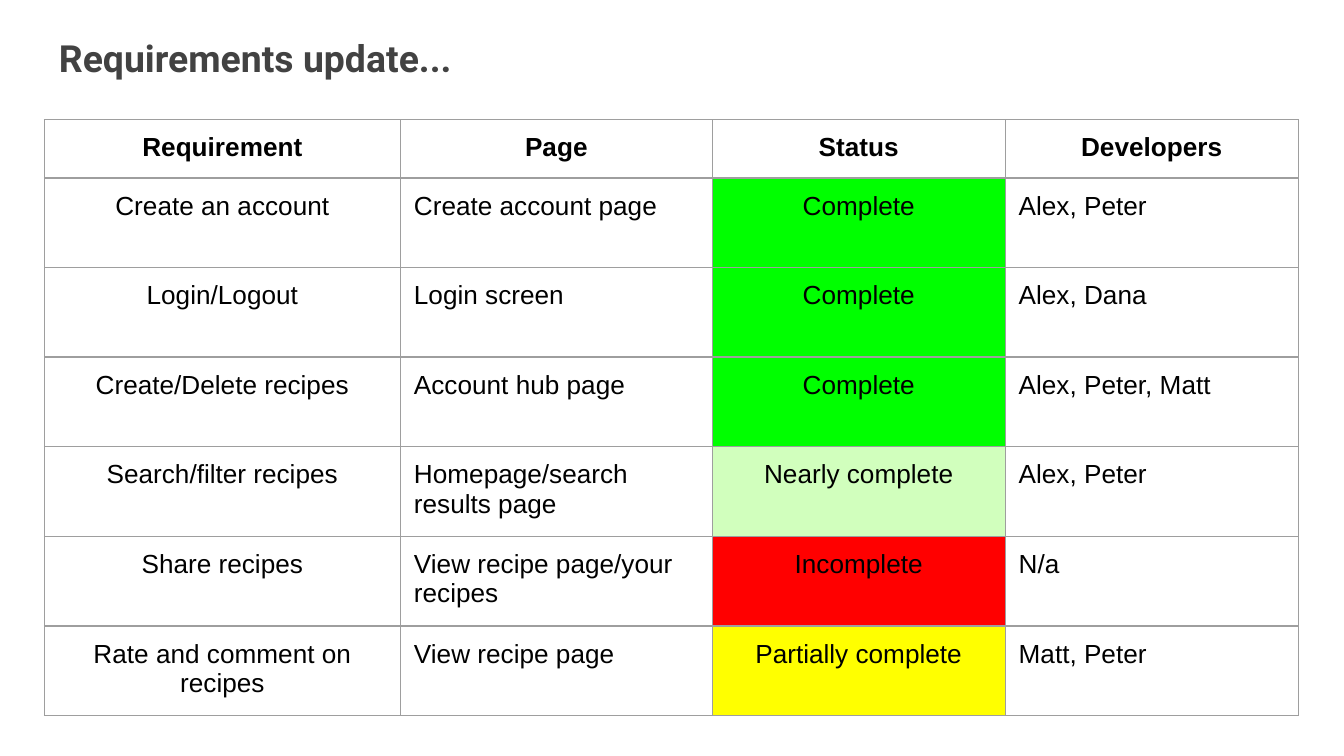
import pptx
import pptx.dml.color
import pptx.enum.text
import pptx.oxml
import pptx.oxml.ns
import pptx.util
from pptx.util import Inches

ALIGN = pptx.enum.text.PP_ALIGN
BORDER_COLOR = "9E9E9E"
STATUS_COLORS = {
    "Complete": "00FF00",
    "Nearly complete": "D1FFBD",
    "Incomplete": "FF0000",
    "Partially complete": "FFFF00",
}
HEADINGS = ("Requirement", "Page", "Status", "Developers")
REQUIREMENTS = (
    ("Create an account", "Create account page", "Complete", "Alex, Peter"),
    ("Login/Logout", "Login screen", "Complete", "Alex, Dana"),
    ("Create/Delete recipes", "Account hub page", "Complete", "Alex, Peter, Matt"),
    ("Search/filter recipes", "Homepage/search results page", "Nearly complete", "Alex, Peter"),
    ("Share recipes", "View recipe page/your recipes", "Incomplete", "N/a"),
    ("Rate and comment on recipes", "View recipe page", "Partially complete", "Matt, Peter"),
)
COLUMN_WIDTHS = (2.65, 2.32, 2.18, 2.18)
HEADER_HEIGHT, ROW_HEIGHT = 0.43, 2 / 3


def rgb(color):
    return pptx.dml.color.RGBColor.from_string(color)


def set_margins(target):
    for side in ("left", "right", "top", "bottom"):
        setattr(target, f"margin_{side}", Inches(0.1))


def write_text(frame, text, color="000000", align=ALIGN.LEFT, **font_format):
    para = frame.paragraphs[0]
    para.alignment = align
    span = para.add_run()
    span.text = text
    for name, value in font_format.items():
        setattr(span.font, name, value)
    span.font.color.rgb = rgb(color)


def add_borders(cell):
    properties = cell._tc.get_or_add_tcPr()
    for index, side in enumerate(("lnL", "lnR", "lnT", "lnB")):
        line = pptx.oxml.parse_xml(
            f'<a:{side} {pptx.oxml.ns.nsdecls("a")} w="{pptx.util.Pt(0.75)}">'
            f'<a:solidFill><a:srgbClr val="{BORDER_COLOR}"/></a:solidFill></a:{side}>'
        )
        properties.insert(index, line)


def add_title(page, left, top, width, height):
    box = page.shapes.add_textbox(Inches(left), Inches(top), Inches(width), Inches(height))
    frame = box.text_frame
    frame.word_wrap = True
    set_margins(frame)
    write_text(frame, "Requirements update...", "424242",
               name="Roboto", size=pptx.util.Pt(20), bold=True)


def add_requirements_table(page, left, top):
    heights = [HEADER_HEIGHT] + [ROW_HEIGHT] * len(REQUIREMENTS)
    frame = page.shapes.add_table(
        len(heights), len(HEADINGS), Inches(left), Inches(top),
        Inches(sum(COLUMN_WIDTHS)), Inches(sum(heights)),
    )
    table = frame.table
    table.first_row = table.horz_banding = False
    for column, width in zip(table.columns, COLUMN_WIDTHS):
        column.width = Inches(width)
    for row, height in zip(table.rows, heights):
        row.height = Inches(height)
    for row_index, texts in enumerate((HEADINGS, *REQUIREMENTS)):
        is_header = row_index == 0
        for heading, cell, text in zip(HEADINGS, table.rows[row_index].cells, texts):
            centered = is_header or heading in ("Requirement", "Status")
            set_margins(cell)
            write_text(cell.text_frame, text,
                       align=ALIGN.CENTER if centered else ALIGN.LEFT,
                       name="Arial", size=pptx.util.Pt(14), bold=is_header)
            cell.fill.solid()
            cell.fill.fore_color.rgb = rgb(STATUS_COLORS.get(text, "FFFFFF"))
            add_borders(cell)


def main():
    deck = pptx.Presentation()
    deck.slide_width = Inches(10)
    deck.slide_height = deck.slide_width * 9 // 16
    page = deck.slides.add_slide(deck.slide_layouts[6])
    add_title(page, 0.34, 0.16, 7.69, 1.09)
    add_requirements_table(page, 0.33, 0.89)
    deck.save("out.pptx")


if __name__ == "__main__":
    main()
